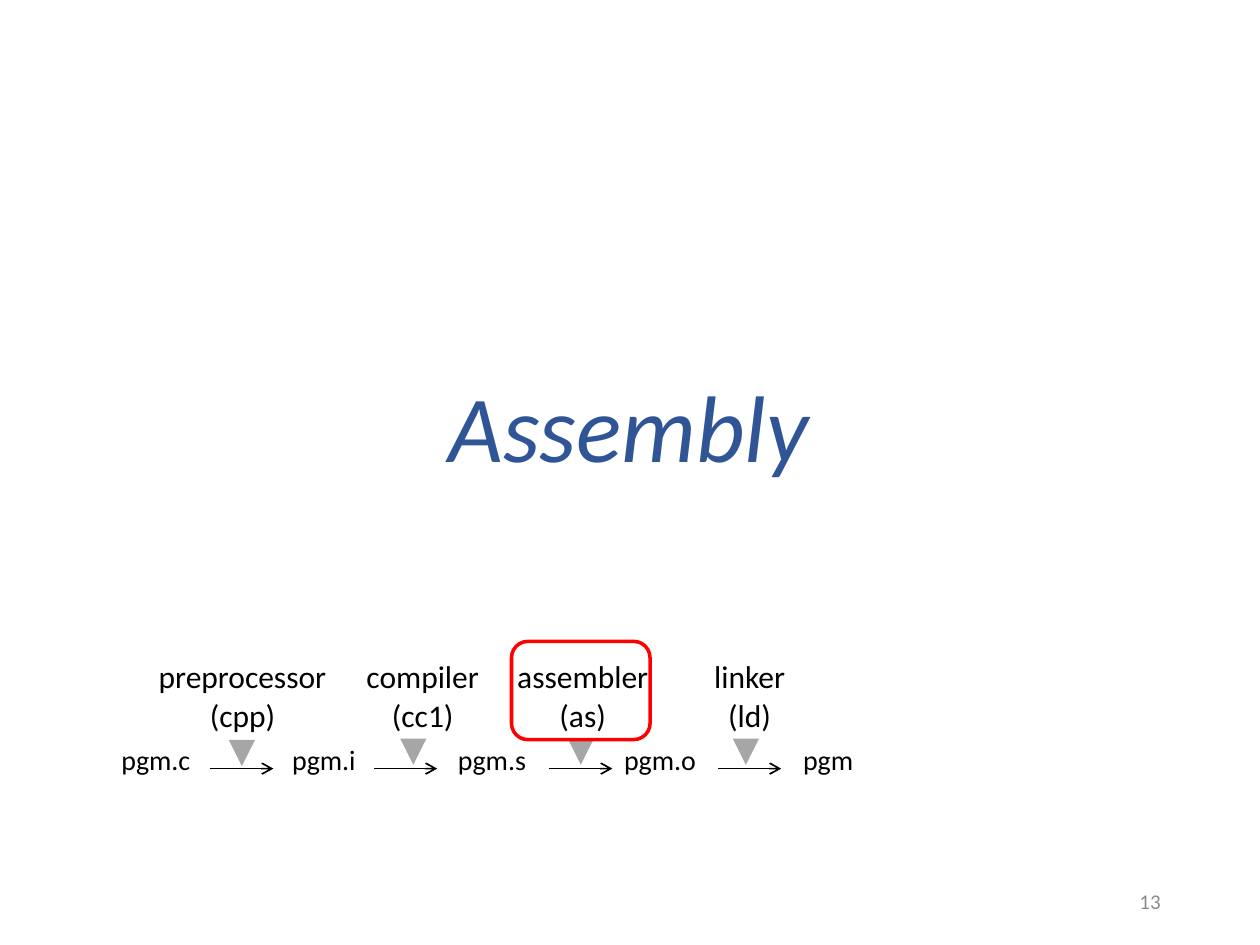
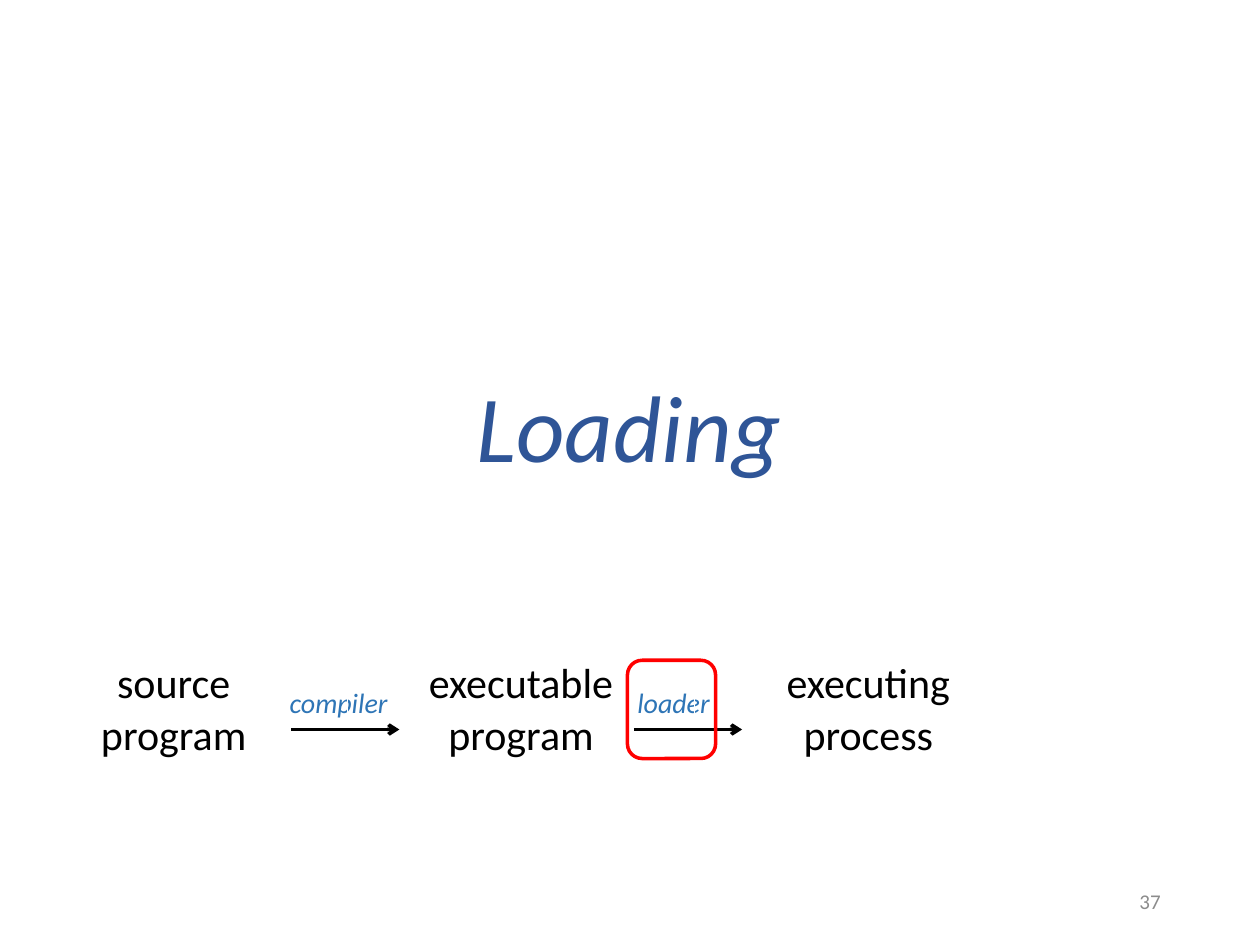
from lxml import etree
from pptx import Presentation
from pptx.dml.color import RGBColor
from pptx.enum import shapes, text
from pptx.oxml import ns
from pptx.util import Inches, Pt

FONT = "Calibri"
TITLE_BLUE, LABEL_BLUE = "2F5597", "2E75B6"
BLACK, GREY, NUMBER_GREY, RED = "000000", "A6A6A6", "8C8C8C", "FF0000"
CENTER, RIGHT, LEFT = text.PP_ALIGN.CENTER, text.PP_ALIGN.RIGHT, text.PP_ALIGN.LEFT

stages = [
    {
        "title": "Assembly",
        "number": "13",
        "rows": [
            (0.57, 5.85, 0.41, 16, [1.334] * 5, ["pgm.c", "pgm.i", "pgm.s", "pgm.o", "pgm"]),
            (1.1, 5.18, 0.7, 18, [1.65, 1.21, 1.33, 1.32],
             ["preprocessor\n(cpp)", "compiler\n(cc1)", "assembler\n(as)", "linker\n(ld)"]),
        ],
        "arrows": [(x, 6.1, x + 0.5, 6.1, BLACK, 1, "arrow") for x in (1.67, 2.97, 4.36, 5.7)]
        + [(x, y, x, y + 0.2, GREY, 5, "triangle")
           for x, y in ((1.92, 5.88), (3.28, 5.87), (4.61, 5.87), (5.92, 5.87))],
        "tools": [],
        "highlight": (4.06, 5.09, 1.1, 0.78),
    },
    {
        "title": "Loading",
        "number": "37",
        "rows": [
            (0, 5.18, 0.9, 24, [2.757] * 3,
             ["source\nprogram", "executable\nprogram", "executing\nprocess"]),
        ],
        "arrows": [(x, 5.79, x + 0.86, 5.79, BLACK, 2, "arrow") for x in (2.31, 5.03)],
        "tools": [("compiler", 2.2, 0.98), ("loader", 4.96, 0.87)],
        "highlight": (4.98, 5.24, 0.7, 0.78),
    },
]


def rgb(value):
    return RGBColor.from_string(value)


def write(frame, words, size, color, align, italic=False):
    frame.text = words
    for paragraph in frame.paragraphs:
        paragraph.alignment = align
        for run in paragraph.runs:
            run.font.name = FONT
            run.font.size = Pt(size)
            run.font.italic = italic
            run.font.color.rgb = rgb(color)


deck = Presentation()
deck.slide_width, deck.slide_height = Inches(10), Inches(7.5)

for stage in stages:
    slide = deck.slides.add_slide(deck.slide_layouts[6])

    labels = [
        (stage["title"], 0.68, 1.87, 8.62, 3.12, 54, TITLE_BLUE, CENTER, True),
        (stage["number"], 7.06, 6.95, 2.25, 0.4, 12, NUMBER_GREY, RIGHT, False),
    ]
    labels += [(tool, left, 5.39, width, 0.37, 16, LABEL_BLUE, LEFT, True)
               for tool, left, width in stage["tools"]]
    for words, left, top, width, height, size, color, align, italic in labels:
        label = slide.shapes.add_textbox(Inches(left), Inches(top), Inches(width), Inches(height))
        frame = label.text_frame
        frame.word_wrap = True
        frame.vertical_anchor = text.MSO_ANCHOR.MIDDLE
        write(frame, words, size, color, align, italic)
        if words == stage["title"]:
            frame.paragraphs[0].line_spacing = 0.9

    for left, top, height, size, widths, entries in stage["rows"]:
        row = slide.shapes.add_table(1, len(entries), Inches(left), Inches(top),
                                     Inches(sum(widths)), Inches(height)).table
        row.first_row = row.horz_banding = False
        for column, cell, width, entry in zip(row.columns, row.rows[0].cells, widths, entries):
            column.width = Inches(width)
            cell.fill.background()
            write(cell.text_frame, entry, size, BLACK, CENTER)

    for x1, y1, x2, y2, color, weight, head in stage["arrows"]:
        arrow = slide.shapes.add_connector(shapes.MSO_CONNECTOR.STRAIGHT, Inches(x1), Inches(y1),
                                           Inches(x2), Inches(y2))
        arrow.line.color.rgb = rgb(color)
        arrow.line.width = Pt(weight)
        etree.SubElement(arrow.line._get_or_add_ln(), ns.qn("a:tailEnd"), type=head)
        etree.SubElement(arrow._element.spPr, ns.qn("a:effectLst"))

    highlight = slide.shapes.add_shape(shapes.MSO_SHAPE.ROUNDED_RECTANGLE,
                                       *[Inches(length) for length in stage["highlight"]])
    highlight.shadow.inherit = False
    highlight.fill.background()
    highlight.line.color.rgb = rgb(RED)
    highlight.line.width = Pt(2)

deck.save("out.pptx")
